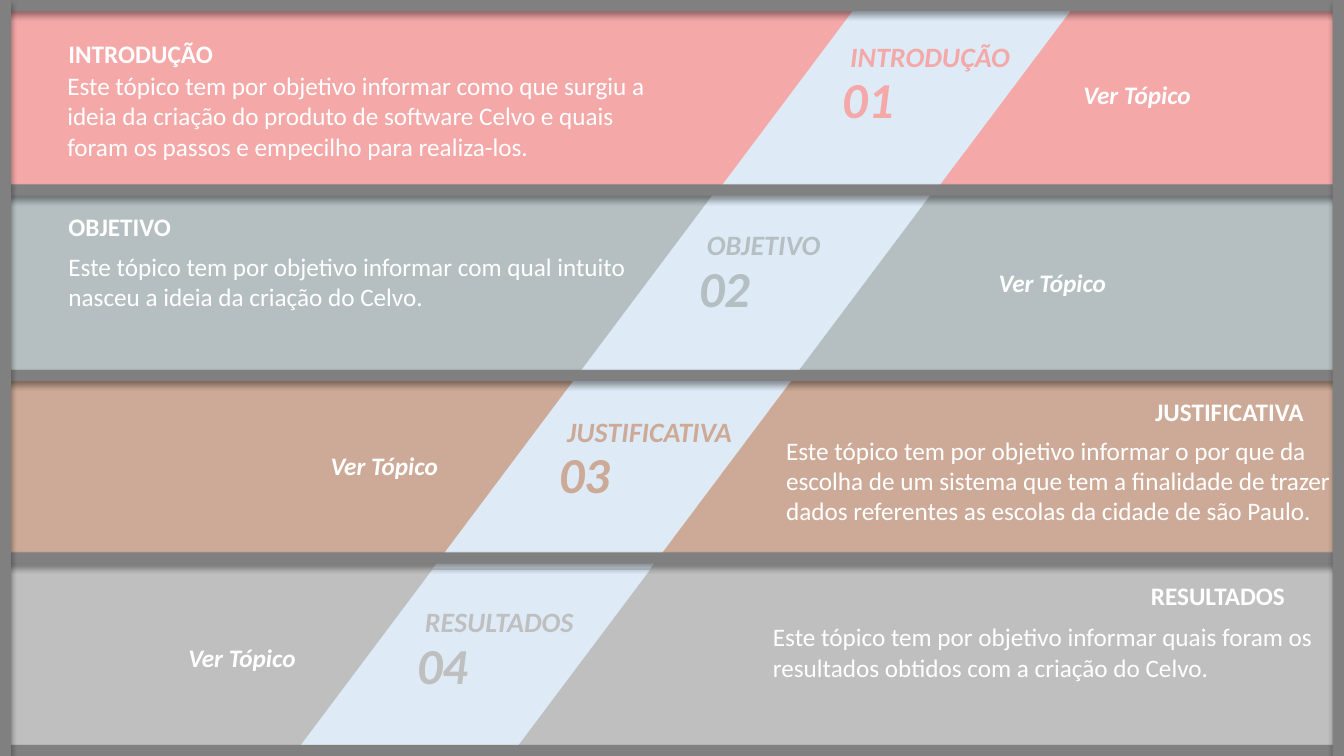
"""Builds a four-topic overview slide with slanted number panels."""
from lxml import etree
from pptx import Presentation
from pptx.dml.color import RGBColor
from pptx.enum.shapes import MSO_SHAPE
from pptx.enum.text import MSO_AUTO_SIZE
from pptx.oxml import parse_xml
from pptx.util import Pt

COLOURS = {
    "rose": "F4A8A8", "slate": "B5BFC1", "clay": "CDAA97", "silver": "BFBFBF",
    "panel": "DEEBF7", "bar": "808080", "text": "FFFFFF", "shadow": "000000",
}
TOPICS = [
    {"name": "INTRODUÇÃO", "colour": "rose", "top": 0, "panel": (511.2, 3),
     "title": (41.8, 23.8), "body": (41, 46.8, 449.3), "link": (766.8, 53.3),
     "summary": "Este tópico tem por objetivo informar como que surgiu a ideia da criação do "
                "produto de software Celvo e quais foram os passos e empecilho para realiza-los."},
    {"name": "OBJETIVO", "colour": "slate", "top": 135.4, "panel": (408.8, 137.6),
     "title": (41.8, 147.6), "body": (41.8, 175.7, 449.3), "link": (706.3, 187.2),
     "summary": "Este tópico tem por objetivo informar com qual intuito nasceu a ideia "
                "da criação do Celvo."},
    {"name": "JUSTIFICATIVA", "colour": "clay", "top": 268.5, "panel": (309, 270.8),
     "title": (818, 279.4), "body": (554.4, 307.4, 437.8), "link": (229, 318.2),
     "summary": "Este tópico tem por objetivo informar o por que da escolha de um sistema que "
                "tem a finalidade de trazer dados referentes as escolas da cidade de são Paulo."},
    {"name": "RESULTADOS", "colour": "silver", "top": 403.2, "panel": (207.4, 406.8),
     "title": (815, 411.1), "body": (545, 440.6, 437.8), "link": (127.4, 455),
     "summary": "Este tópico tem por objetivo informar quais foram os resultados obtidos "
                "com a criação do Celvo."},
]
LINK_TEXT = "Ver Tópico"
WIDTH, HEIGHT = 960, 540
BAR = 8
BAR_TOPS = [0, 131.8, 264.2, 394.6, HEIGHT - BAR]
PANEL_SIZE = (257, 135.4)
NAMESPACE = "http://schemas.openxmlformats.org/drawingml/2006/main"


def add_block(page, kind, left, top, width, height, colour):
    block = page.shapes.add_shape(kind, Pt(left), Pt(top), Pt(width), Pt(height))
    block.shadow.inherit = False
    block.fill.solid()
    block.fill.fore_color.rgb = RGBColor.from_string(COLOURS[colour])
    block.line.fill.background()
    return block


def add_bar(page, left, top, width, height):
    bar = add_block(page, MSO_SHAPE.RECTANGLE, left, top, width, height, "bar")
    effects = bar.element.spPr.find(f"{{{NAMESPACE}}}effectLst")
    shadow = parse_xml(
        f'<a:outerShdw xmlns:a="{NAMESPACE}" blurRad="{Pt(4)}" dist="{Pt(3)}" dir="5400000" '
        f'algn="t" rotWithShape="0"><a:srgbClr val="{COLOURS["shadow"]}"/></a:outerShdw>')
    etree.SubElement(shadow[0], f"{{{NAMESPACE}}}alpha", val="40000")
    effects.append(shadow)


def add_text(page, text, left, top, width, size, colour="text", bold=True, italic=False, lines=1):
    height = size * 1.2 * lines + 7.2
    box = page.shapes.add_textbox(Pt(left), Pt(top), Pt(width), Pt(height))
    frame = box.text_frame
    frame.word_wrap = True
    frame.auto_size = MSO_AUTO_SIZE.SHAPE_TO_FIT_TEXT
    frame.text = text
    font = frame.paragraphs[0].runs[0].font
    font.name, font.size, font.bold, font.italic = "Calibri", Pt(size), bold, italic
    font.color.rgb = RGBColor.from_string(COLOURS[colour])


def main():
    deck = Presentation()
    deck.slide_width, deck.slide_height = Pt(WIDTH), Pt(HEIGHT)
    page = deck.slides.add_slide(deck.slide_layouts[6])

    bottoms = [topic["top"] for topic in TOPICS[1:]] + [HEIGHT]
    for topic, bottom in zip(TOPICS, bottoms):
        add_block(page, MSO_SHAPE.RECTANGLE, 0, topic["top"], WIDTH, bottom - topic["top"],
                  topic["colour"])

    for number, topic in enumerate(TOPICS, 1):
        left, top = topic["panel"]
        panel = add_block(page, MSO_SHAPE.PARALLELOGRAM, left, top, *PANEL_SIZE, "panel")
        panel.adjustments[0] = 0.75
        add_text(page, topic["name"], left + 89, top + 21.5, 147.6, 20, topic["colour"],
                 italic=True)
        add_text(page, f"{number:02d}", left + 83.5, top + 42.4, 147.6, 36, topic["colour"],
                 italic=True)

    for top in BAR_TOPS:
        add_bar(page, 0, top, WIDTH, BAR)
    for left in (0, WIDTH - BAR):
        add_bar(page, left, 0, BAR, HEIGHT)

    for topic in TOPICS:
        lines = 3 if len(topic["summary"]) > 100 else 2
        add_text(page, topic["name"], *topic["title"], 150.5, 18)
        add_text(page, topic["summary"], *topic["body"], 18, bold=False, lines=lines)
        add_text(page, LINK_TEXT, *topic["link"], 150.5, 18, italic=True)

    deck.save("out.pptx")


if __name__ == "__main__":
    main()
